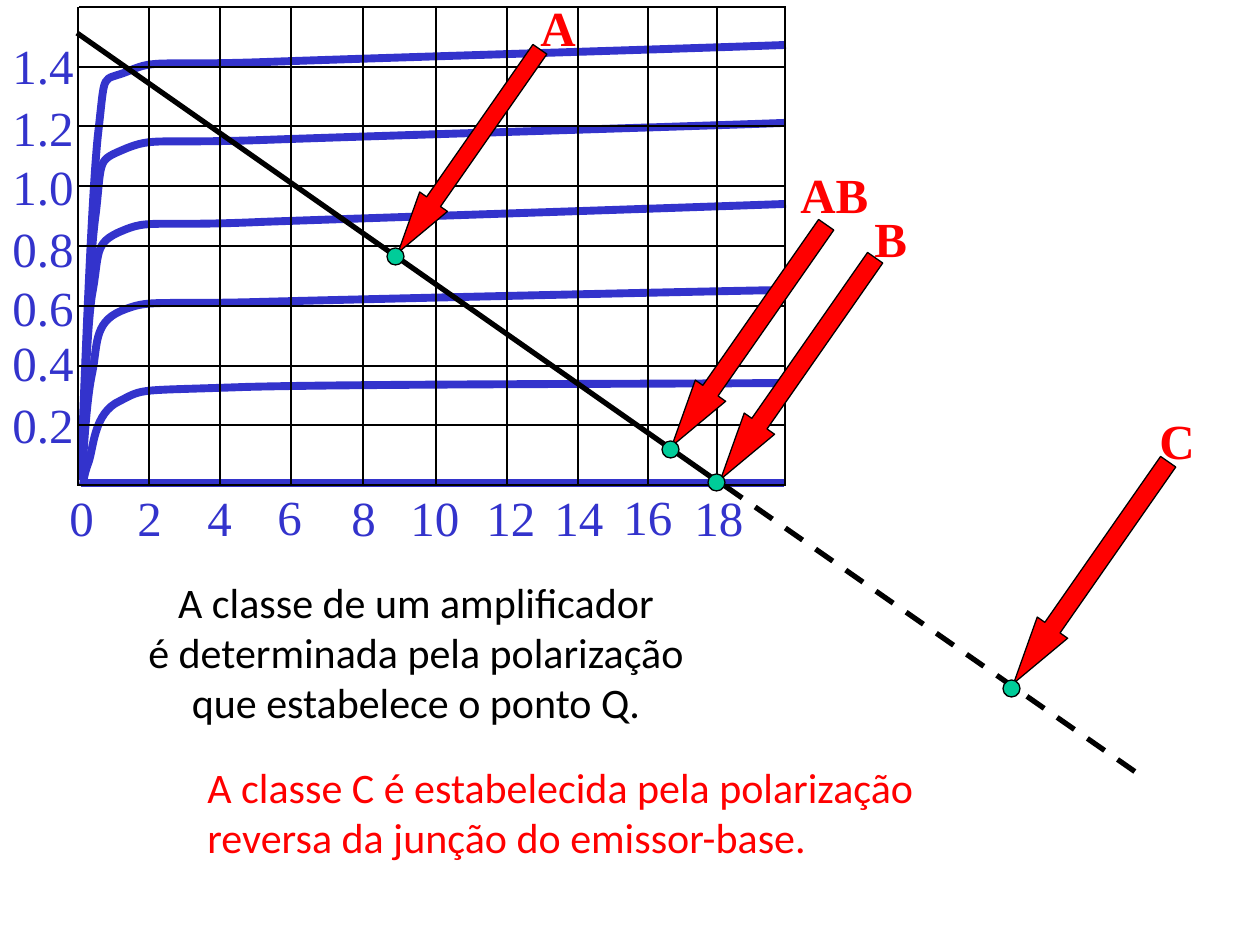
"""Build the slide on amplifier classes and their Q points."""
import pptx
import pptx.dml.color
import pptx.enum.dml
import pptx.enum.shapes
import pptx.enum.text
import pptx.oxml.ns
import pptx.oxml.xmlchemy
import pptx.util

PX = 914400 // 126
BLUE, RED, BLACK, GREEN = "3333CC", "FF0000", "000000", "00CC99"
qn = pptx.oxml.ns.qn
make = pptx.oxml.xmlchemy.OxmlElement
kinds = pptx.enum.shapes.MSO_SHAPE
rgb = pptx.dml.color.RGBColor.from_string

deck = pptx.Presentation()
deck.slide_width, deck.slide_height = 1260 * PX, 945 * PX
shapes = deck.slides.add_slide(deck.slide_layouts[6]).shapes


def write(lines, box, size, font, hue, bold=False, wrap=False, align="LEFT"):
    frame = shapes.add_textbox(*[n * PX for n in box]).text_frame
    frame.word_wrap = wrap
    frame.auto_size = pptx.enum.text.MSO_AUTO_SIZE.SHAPE_TO_FIT_TEXT
    for i, line in enumerate(lines):
        para = frame.add_paragraph() if i else frame.paragraphs[0]
        para.alignment = getattr(pptx.enum.text.PP_ALIGN, align)
        run = para.add_run()
        run.text = line
        run.font.size = pptx.util.Pt(size)
        run.font.name = font
        run.font.bold = bold
        run.font.color.rgb = rgb(hue)


def draw(ends, hue, width):
    wire = shapes.add_connector(
        pptx.enum.shapes.MSO_CONNECTOR.STRAIGHT, *[n * PX for n in ends])
    wire.line.color.rgb = rgb(hue)
    wire.line.width = pptx.util.Pt(width)
    wire._element.spPr.append(make("a:effectLst"))
    return wire


ticks = [(57, 481), (125, 481), (195, 481), (265, 480), (339, 481),
         (398, 481), (474, 481), (542, 481), (611, 480), (682, 481)]
for i, (left, top) in enumerate(ticks):
    wide = 49 if i < 5 else 74
    write([str(2 * i)], (left, top, wide, 66), 28, "Times New Roman", BLUE)

for i, top in enumerate([388, 326, 271, 212, 150, 91, 29], 1):
    write([f"{i * 0.2:.1f}"], (0, top, 87, 66), 28, "Times New Roman", BLUE)

draw((81, 483, 784, 483), BLUE, 4.5)

curves = [
    [(83, 485), (84, 481), (83, 478), (88, 464), (94, 449), (93, 413),
     (120, 401), (145, 388), (135, 391), (246, 387), (357, 384), (673, 384),
     (785, 383)],
    [(81, 476), (83, 420), (91, 202), (98, 135), (106, 67), (100, 83),
     (129, 71), (156, 59), (159, 66), (268, 62), (378, 58), (678, 49),
     (786, 45)],
    [(82, 479), (83, 433), (88, 267), (96, 212), (102, 158), (97, 161),
     (125, 149), (154, 137), (155, 144), (265, 140), (374, 136), (675, 127),
     (784, 123)],
    [(82, 479), (83, 447), (86, 335), (92, 295), (100, 253), (93, 243),
     (122, 231), (150, 219), (151, 227), (262, 222), (373, 218), (677, 208),
     (786, 204)],
    [(82, 480), (83, 462), (86, 402), (92, 374), (98, 346), (93, 323),
     (121, 311), (150, 299), (151, 305), (261, 302), (372, 299), (675, 292),
     (785, 290)],
]
for points in curves:
    pen = shapes.build_freeform(*points[0], scale=PX)
    pen.add_line_segments(points[1:], close=False)
    curve = pen.convert_to_shape()
    curve.shadow.inherit = False
    curve.fill.background()
    curve.line.color.rgb = rgb(BLUE)
    curve.line.width = pptx.util.Pt(4.5)
    steps = list(curve._element.iter(qn("a:lnTo")))
    for i in range(0, len(steps), 3):
        bend = make("a:cubicBezTo")
        steps[i].addprevious(bend)
        for step in steps[i:i + 3]:
            bend.append(step[0])
            step.getparent().remove(step)

for i in range(9):
    y = round(7 + 59.75 * i)
    draw((79, y, 786, y), BLACK, 0.75)
for x in [78, 149, 220, 291, 363, 436, 507, 578, 648, 717, 785]:
    draw((x, 7, x, 486), BLACK, 0.75)

draw((77, 33, 721, 484), BLACK, 3)

for left, top, wide, high in [(345, 134, 248, 34), (663, 350, 270, 37),
                              (614, 317, 270, 37), (956, 554, 270, 37)]:
    arrow = shapes.add_shape(kinds.LEFT_ARROW, left * PX, top * PX,
                             wide * PX, high * PX)
    arrow.rotation = 304.9
    arrow.adjustments[0], arrow.adjustments[1] = 0.5, 1.83
    arrow.shadow.inherit = False
    arrow.fill.solid()
    arrow.fill.fore_color.rgb = rgb(RED)
    arrow.line.color.rgb = rgb(BLACK)
    arrow.line.width = pptx.util.Pt(0.75)

dash = draw((725, 486, 1147, 780), BLACK, 3)
dash.line.dash_style = pptx.enum.dml.MSO_LINE.DASH

for name, left, top, wide in [("A", 528, -9, 60), ("B", 862, 202, 58),
                              ("C", 1147, 404, 60), ("AB", 788, 158, 93)]:
    write([name], (left, top, wide, 66), 28, "Times New Roman", RED, bold=True)

write(["A classe de um amplificador", "é determinada pela polarização",
       "que estabelece o ponto Q."],
      (92, 570, 648, 165), 24, "Calibri", BLACK, wrap=True, align="CENTER")
write(["A classe C é estabelecida pela polarização",
       "reversa da junção do emissor-base."],
      (195, 755, 753, 115), 24, "Calibri", RED)

for left, top in [(387, 248), (662, 441), (708, 474), (1003, 680)]:
    dot = shapes.add_shape(kinds.OVAL, left * PX, top * PX, 17 * PX, 17 * PX)
    dot.shadow.inherit = False
    dot.fill.solid()
    dot.fill.fore_color.rgb = rgb(GREEN)
    dot.line.color.rgb = rgb(BLACK)
    dot.line.width = pptx.util.Pt(0.75)

deck.save("out.pptx")
